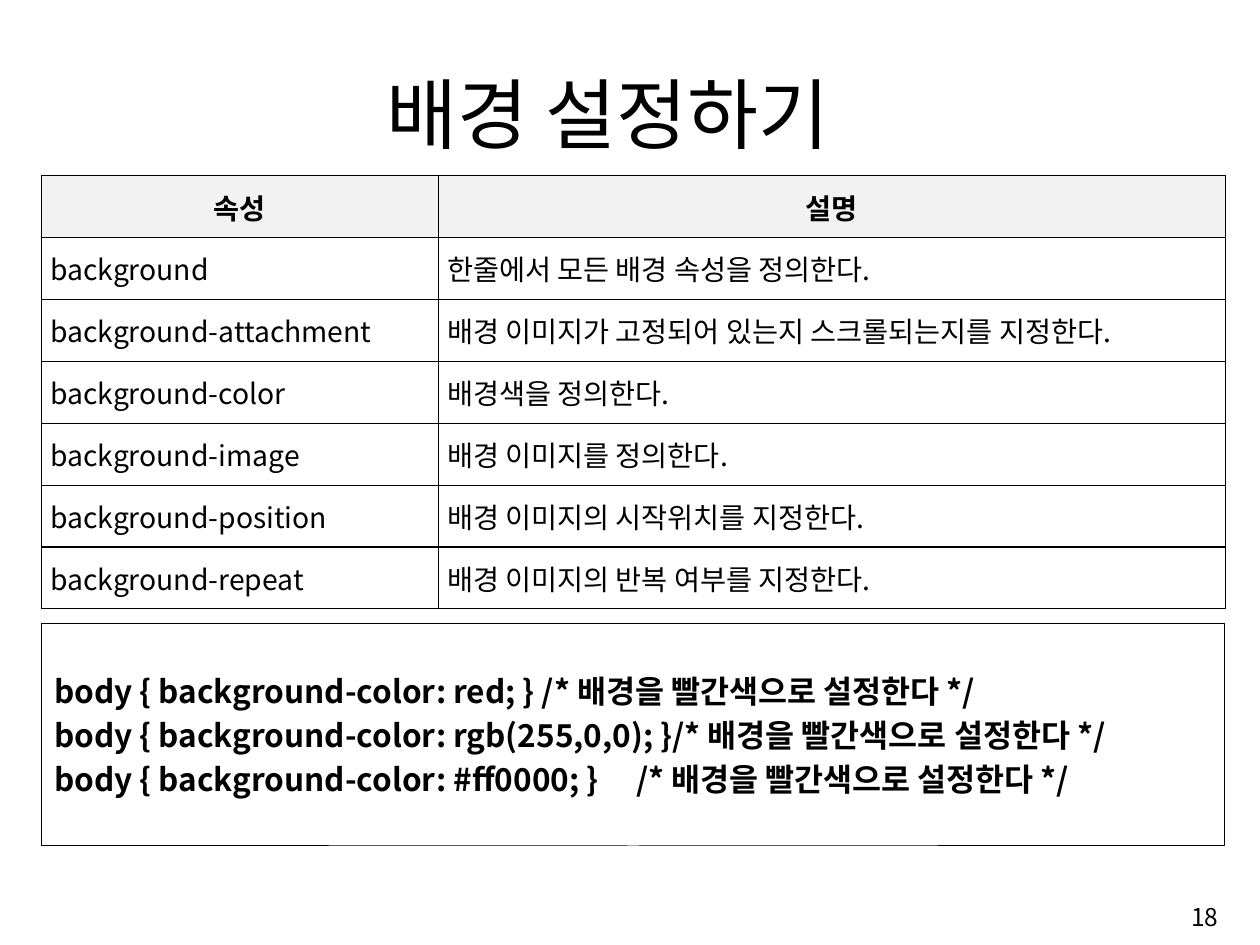
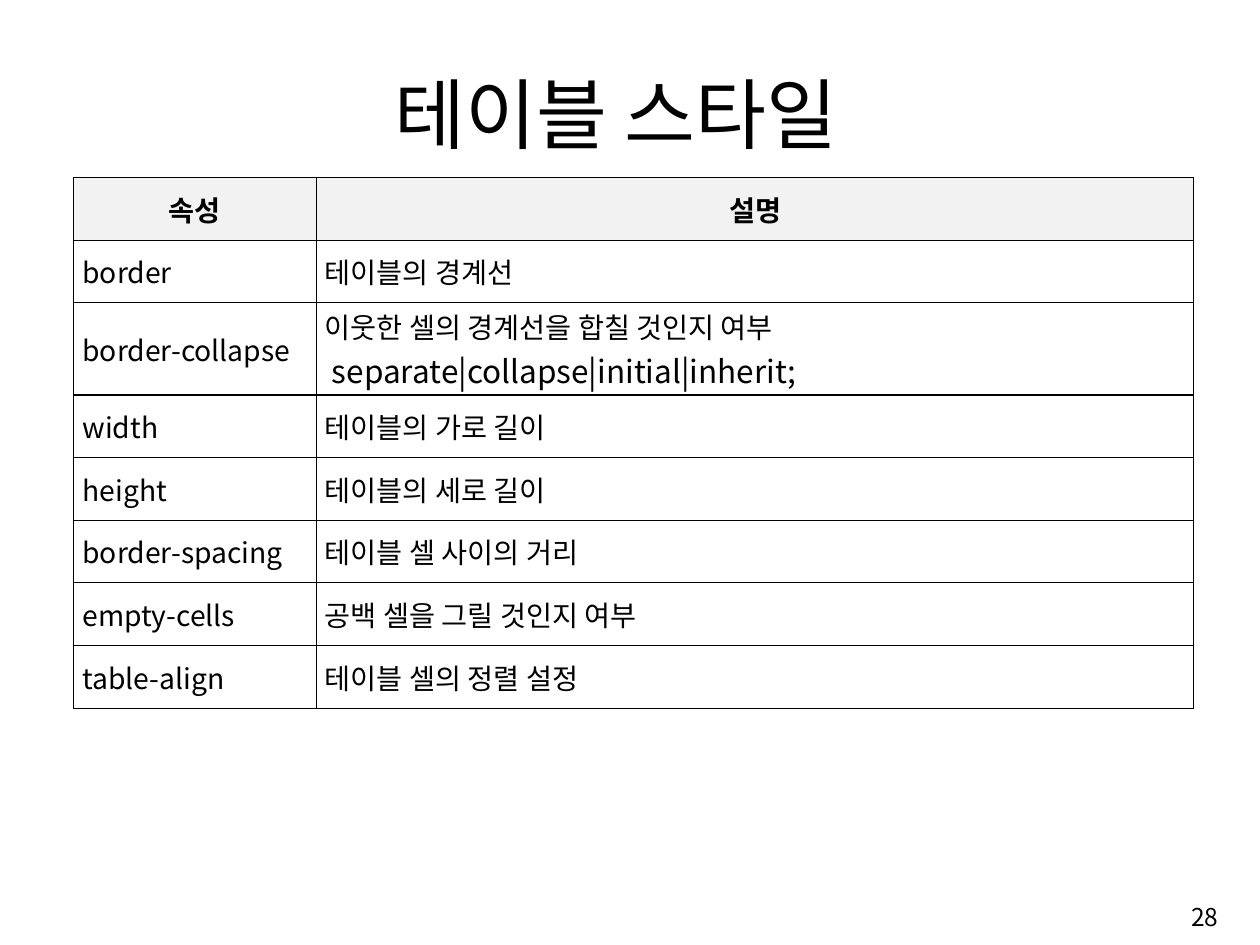
from lxml import etree
from pptx import Presentation
from pptx.dml.color import RGBColor
from pptx.enum import shapes, text
from pptx.oxml import ns
from pptx.util import Cm, Pt

COLORS = {"ink": "000000", "header": "F2F2F2"}
FONT = "Noto Sans CJK KR"
TITLE_SIZE, CODE_SIZE, CELL_SIZE, PAGE_SIZE = 57.2, 23.4, 21, 18.2
TWO_LINE_HEIGHT = 2.41
HEADER = ("속성", "설명")

BACKGROUND_ROWS = [
    ("background", "한줄에서 모든 배경 속성을 정의한다."),
    ("background-attachment", "배경 이미지가 고정되어 있는지 스크롤되는지를 지정한다."),
    ("background-color", "배경색을 정의한다."),
    ("background-image", "배경 이미지를 정의한다."),
    ("background-position", "배경 이미지의 시작위치를 지정한다."),
    ("background-repeat", "배경 이미지의 반복 여부를 지정한다."),
]
BACKGROUND_CODE = [
    "body { background-color: red; } /* 배경을 빨간색으로 설정한다 */",
    "body { background-color: rgb(255,0,0); }/* 배경을 빨간색으로 설정한다 */",
    "body { background-color: #ff0000; }\t/* 배경을 빨간색으로 설정한다 */",
]
TABLE_STYLE_ROWS = [
    ("border", "테이블의 경계선"),
    ("border-collapse", "이웃한 셀의 경계선을 합칠 것인지 여부\n separate|collapse|initial|inherit;"),
    ("width", "테이블의 가로 길이"),
    ("height", "테이블의 세로 길이"),
    ("border-spacing", "테이블 셀 사이의 거리"),
    ("empty-cells", "공백 셀을 그릴 것인지 여부"),
    ("table-align", "테이블 셀의 정렬 설정"),
]


def rgb(name):
    return RGBColor.from_string(COLORS[name])


def style(p, size, align, bold=False):
    p.alignment = align
    font = p.font
    font.name, font.size, font.bold = FONT, Pt(size), bold
    font.color.rgb = rgb("ink")
    latin = p._p.pPr.find(ns.qn("a:defRPr")).find(ns.qn("a:latin"))
    east_asian = etree.Element(ns.qn("a:ea"), typeface=FONT)
    latin.addnext(east_asian)


def add_slide(prs, title, page):
    slide = prs.slides.add_slide(prs.slide_layouts[5])
    sp = slide.shapes.title
    sp.left, sp.top, sp.width, sp.height = Cm(2.67), Cm(1.55), Cm(26.95), Cm(2.74)
    tf = sp.text_frame
    tf.text = title
    tf.auto_size = text.MSO_AUTO_SIZE.NONE
    tf.vertical_anchor = text.MSO_ANCHOR.BOTTOM
    style(tf.paragraphs[0], TITLE_SIZE, text.PP_ALIGN.CENTER)

    tf = slide.shapes.add_textbox(Cm(25.35), Cm(23.24), Cm(6.81), Cm(1.5)).text_frame
    tf.text = str(page)
    tf.word_wrap = True
    tf.vertical_anchor = text.MSO_ANCHOR.MIDDLE
    style(tf.paragraphs[0], PAGE_SIZE, text.PP_ALIGN.RIGHT)
    return slide


def add_borders(cell):
    tc_pr = cell._tc.get_or_add_tcPr()
    for side in ("lnL", "lnR", "lnT", "lnB"):
        ln = etree.SubElement(tc_pr, ns.qn(f"a:{side}"), w=str(Pt(1)))
        fill = etree.SubElement(ln, ns.qn("a:solidFill"))
        etree.SubElement(fill, ns.qn("a:srgbClr"), val=COLORS["ink"])


def fill_cell(cell, content, is_header):
    cell.margin_left = cell.margin_right = Cm(0.23)
    cell.margin_top = cell.margin_bottom = Cm(0.08)
    cell.vertical_anchor = text.MSO_ANCHOR.MIDDLE
    add_borders(cell)
    if is_header:
        cell.fill.solid()
        cell.fill.fore_color.rgb = rgb("header")
    else:
        cell.fill.background()
    cell.text_frame.text = content
    align = text.PP_ALIGN.CENTER if is_header else text.PP_ALIGN.JUSTIFY
    for i, p in enumerate(cell.text_frame.paragraphs):
        style(p, CODE_SIZE if i else CELL_SIZE, align, is_header)


def add_property_table(slide, left, top, widths, row_height, rows):
    rows = [HEADER, *rows]
    heights = [TWO_LINE_HEIGHT if "\n" in row[1] else row_height for row in rows]
    frame = slide.shapes.add_table(len(rows), len(widths), Cm(left), Cm(top),
                                   Cm(sum(widths)), Cm(sum(heights)))
    table = frame.table
    table.horz_banding = False
    for column, width in zip(table.columns, widths):
        column.width = Cm(width)
    for r, (row, height) in enumerate(zip(rows, heights)):
        table.rows[r].height = Cm(height)
        for c, content in enumerate(row):
            fill_cell(table.cell(r, c), content, r == 0)


def add_code_box(slide, left, top, width, height, lines):
    sp = slide.shapes.add_shape(shapes.MSO_SHAPE.RECTANGLE,
                                Cm(left), Cm(top), Cm(width), Cm(height))
    sp.shadow.inherit = False
    sp.fill.background()
    sp.line.color.rgb = rgb("ink")
    sp.line.width = Pt(0.75)
    tf = sp.text_frame
    tf.word_wrap = True
    tf.vertical_anchor = text.MSO_ANCHOR.MIDDLE
    tf.margin_left = tf.margin_right = Cm(0.33)
    tf.margin_top = tf.margin_bottom = Cm(0.15)
    tf.text = "\n".join(lines)
    for p in tf.paragraphs:
        p.space_before = Pt(CODE_SIZE * 0.2)
        style(p, CODE_SIZE, text.PP_ALIGN.LEFT, True)


def main():
    prs = Presentation()
    prs.slide_width, prs.slide_height = Cm(33), Cm(24.74)

    slide = add_slide(prs, "배경 설정하기 ", 18)
    add_property_table(slide, 1.09, 4.6, (10.39, 20.62), 1.62, BACKGROUND_ROWS)
    add_code_box(slide, 1.09, 16.33, 30.99, 5.82, BACKGROUND_CODE)

    slide = add_slide(prs, "테이블 스타일", 28)
    add_property_table(slide, 1.93, 4.65, (6.35, 22.99), 1.64, TABLE_STYLE_ROWS)

    prs.save("out.pptx")


if __name__ == "__main__":
    main()
